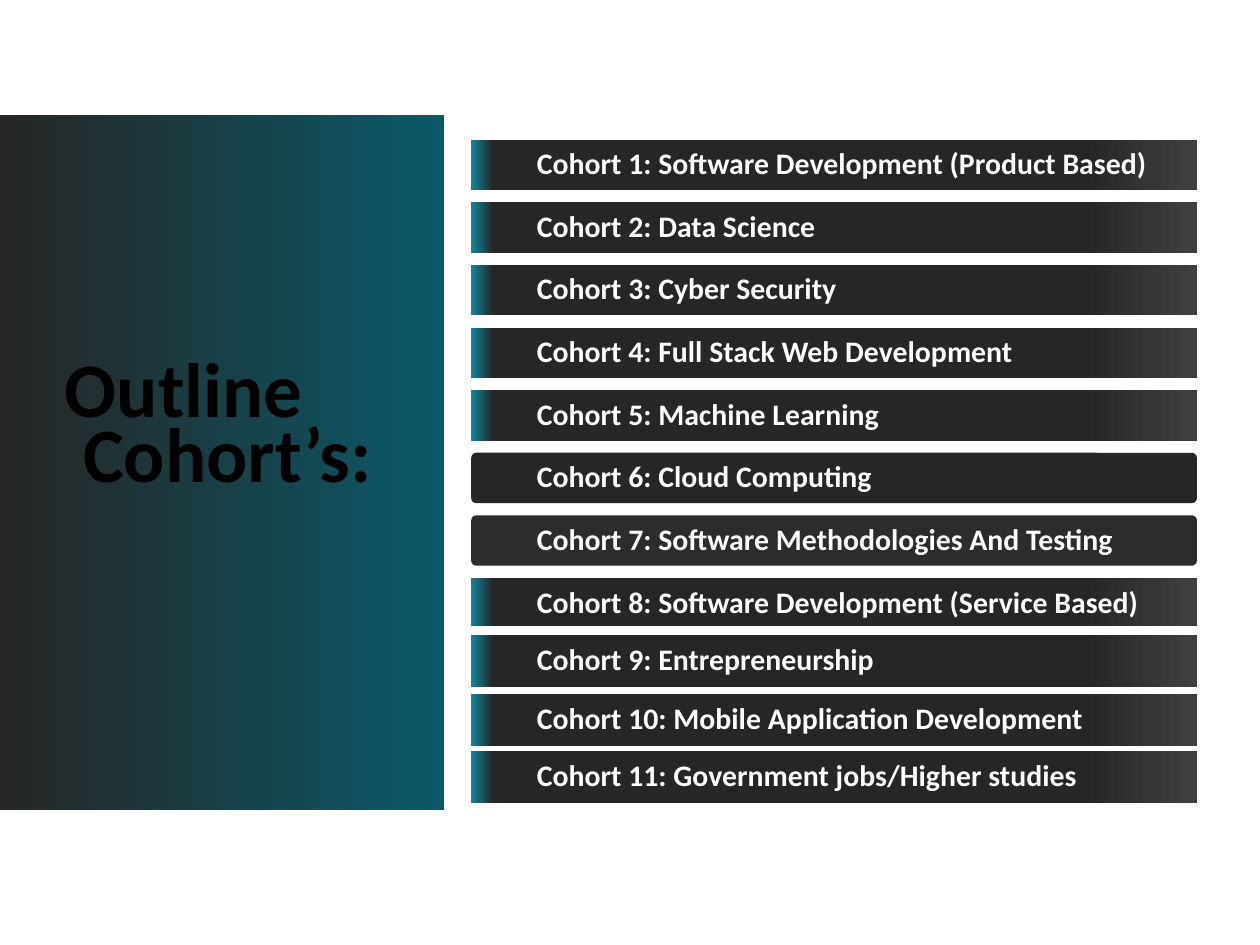
from lxml.etree import SubElement
from pptx import Presentation
from pptx.dml.color import RGBColor
from pptx.enum.shapes import MSO_SHAPE
from pptx.enum.text import MSO_ANCHOR, PP_ALIGN
from pptx.oxml.ns import qn
from pptx.util import Pt

INK = {"dark": "262626", "deep": "0B5968", "grey": "3F3F3F", "teal": "11859C",
       "soft": "2C2C2C", "black": "000000", "white": "FFFFFF"}
BAR = [(0, "grey"), (16, "dark"), (97, "dark"), (100, "teal")]
SIDE = [(0, "dark"), (1, "dark"), (100, "deep")]


def panel(kind, box, stops, angle=0):
    shape = slide.shapes.add_shape(kind, *map(Pt, box))
    shape.shadow.inherit = False
    shape.line.fill.background()
    if len(stops) == 1:
        shape.fill.solid()
        shape.fill.fore_color.rgb = RGBColor.from_string(INK[stops[0][1]])
        return shape
    shape.fill.gradient()
    shape.fill.gradient_angle = angle
    ramp = shape.element.spPr.find(qn("a:gradFill")).find(qn("a:gsLst"))
    ramp.clear()
    for pos, name in stops:
        stop = SubElement(ramp, qn("a:gs"), pos=str(pos * 1000))
        SubElement(stop, qn("a:srgbClr"), val=INK[name])
    return shape


def write(para, text, size, color, space):
    para.alignment = PP_ALIGN.LEFT
    para.line_spacing = space
    run = para.add_run()
    run.text = text
    run.font.name = "Calibri"
    run.font.size = Pt(size)
    run.font.bold = True
    run.font.color.rgb = RGBColor.from_string(INK[color])


deck = Presentation()
deck.slide_width, deck.slide_height = Pt(720), Pt(540)
slide = deck.slides.add_slide(deck.slide_layouts[6])

title = panel(MSO_SHAPE.RECTANGLE, (0, 66, 254, 397), SIDE)
frame = title.text_frame
frame.word_wrap = True
frame.vertical_anchor = MSO_ANCHOR.MIDDLE
frame.margin_left = frame.margin_right = Pt(23)
frame.margin_top, frame.margin_bottom = Pt(0), Pt(37)
for num, (word, inset) in enumerate([("Outline", 14), ("Cohort’s:", 24.5)]):
    para = frame.add_paragraph() if num else frame.paragraphs[0]
    para._p.get_or_add_pPr().set("marL", str(Pt(inset)))
    write(para, word, 44, "black", 0.7)

names = ["Software Development (Product Based)", "Data Science", "Cyber Security",
         "Full Stack Web Development", "Machine Learning", "Cloud Computing",
         "Software Methodologies And Testing", "Software Development (Service Based)",
         "Entrepreneurship", "Mobile Application Development",
         "Government jobs/Higher studies"]
rows = [(80 + 35.75 * num, 28.8) for num in range(7)]
rows += [(330.5, 27.4), (363, 29.5), (396.7, 29.5), (429.1, 29.5)]
plain = {6: "dark", 7: "soft"}

for num, (name, (top, high)) in enumerate(zip(names, rows), 1):
    box = (269.3, top, 414.7, high)
    if num in plain:
        bar = panel(MSO_SHAPE.ROUNDED_RECTANGLE, box, [(0, plain[num])])
        bar.adjustments[0] = 0.1
    else:
        panel(MSO_SHAPE.RECTANGLE, box, BAR, 180)
    drop = 2.2 if num == 8 else 0
    label = slide.shapes.add_textbox(Pt(303.8), Pt(top + drop), Pt(380.2), Pt(high - drop))
    frame = label.text_frame
    frame.word_wrap = True
    frame.vertical_anchor = MSO_ANCHOR.MIDDLE
    frame.margin_left = frame.margin_right = Pt(3)
    frame.margin_top = frame.margin_bottom = Pt(3)
    write(frame.paragraphs[0], f"Cohort {num}: {name}", 17, "white", 0.9)

deck.save("out.pptx")
